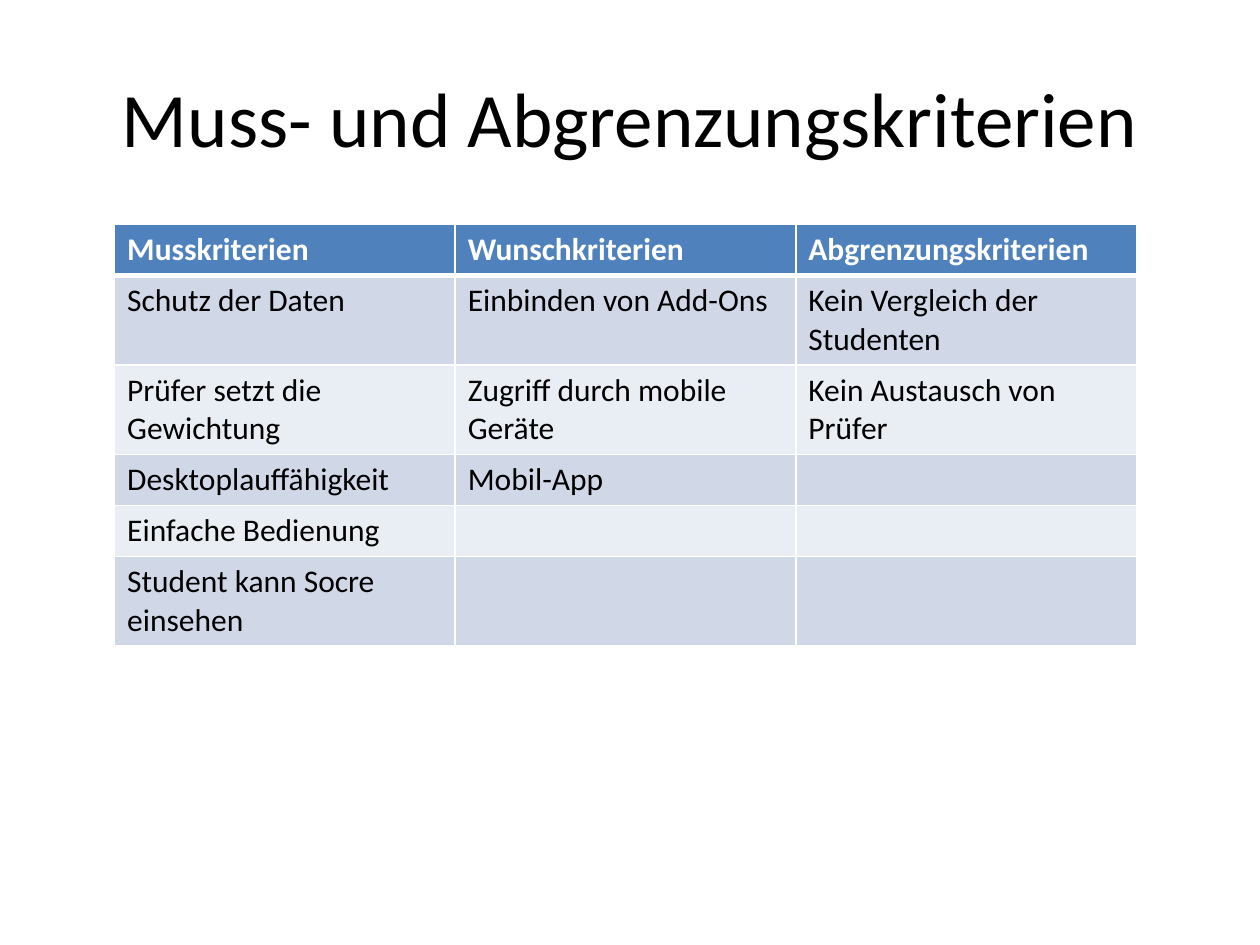
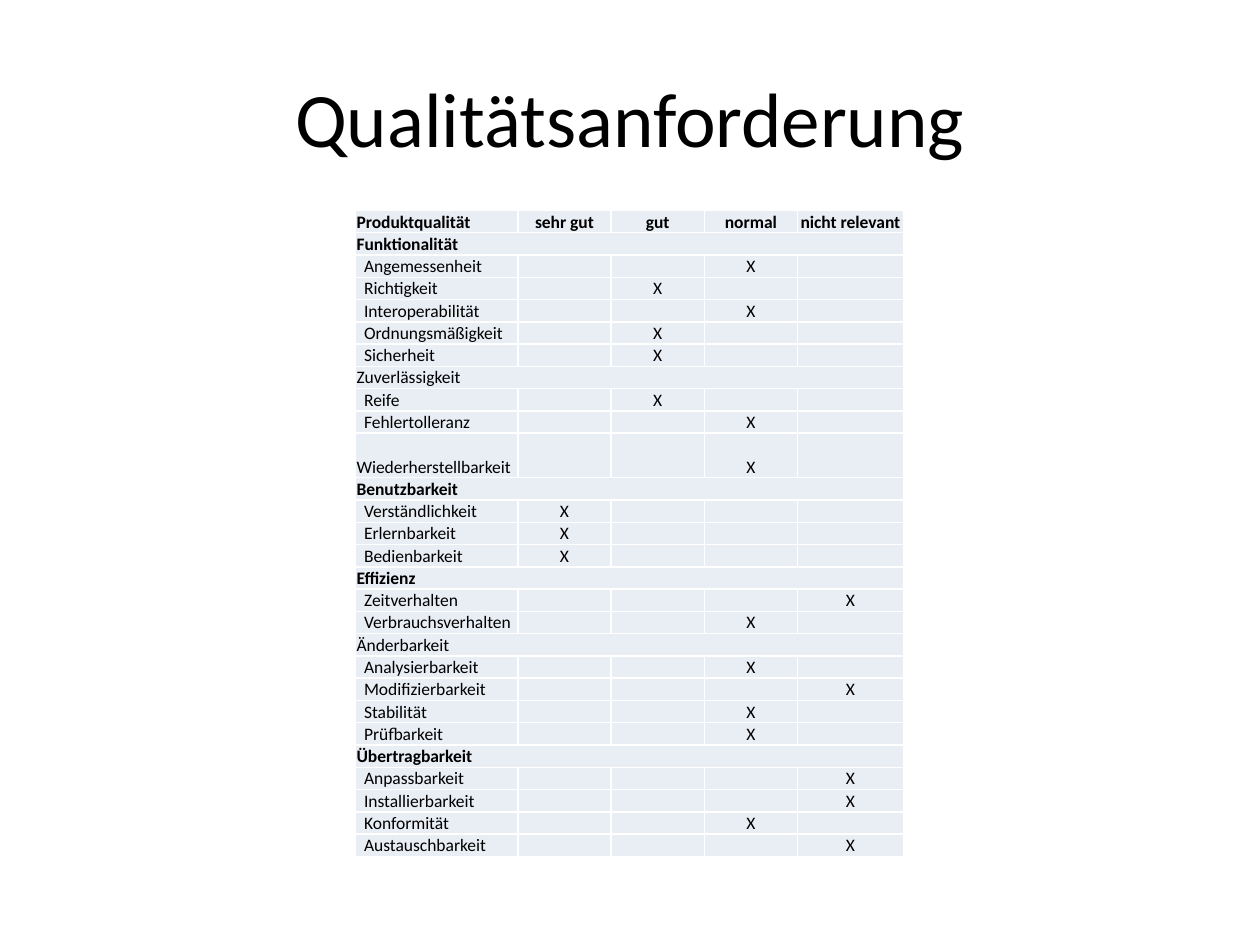
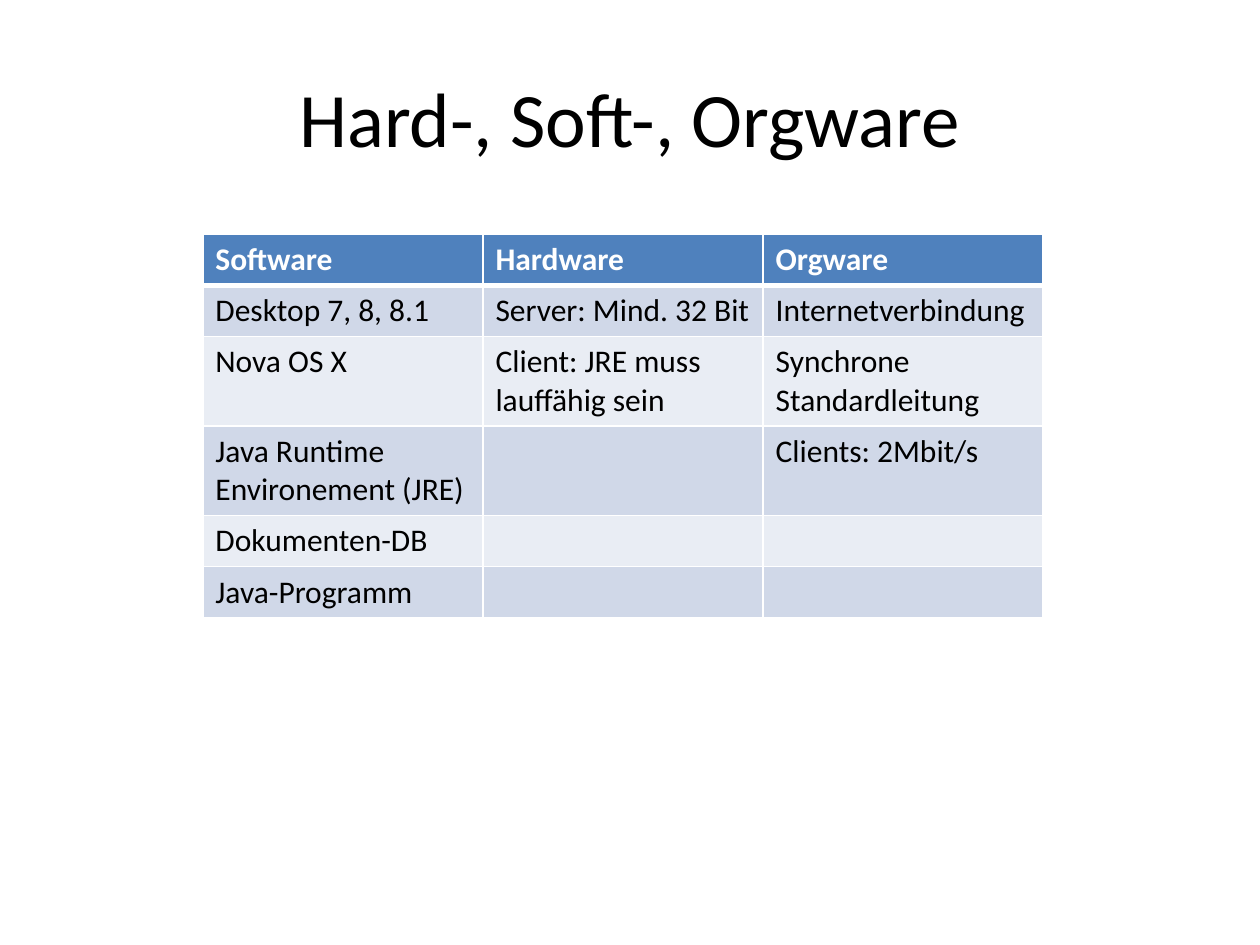
from dataclasses import dataclass

from lxml.etree import SubElement
from pptx import Presentation
from pptx.dml.color import RGBColor
from pptx.enum.text import MSO_ANCHOR, PP_ALIGN
from pptx.oxml.ns import qn
from pptx.util import Inches, Pt


@dataclass(frozen=True)
class Theme:
    """Colours and type sizes shared by all slides."""
    font: str = "Calibri"
    text: str = "000000"
    white: str = "FFFFFF"
    header: str = "4F81BD"
    dark_band: str = "D0D8E8"
    light_band: str = "E9EDF4"
    title_size: int = 44
    table_size: int = 18
    small_size: int = 10
    line: int = 1
    header_line: int = 3


class Deck:
    """Holds the theme, the presentation and the current slide."""

    def __init__(self, theme):
        """Start an empty 4:3 presentation."""
        self.theme = theme
        self.presentation = Presentation()
        self.presentation.slide_width = Inches(10)
        self.presentation.slide_height = Inches(7.5)
        self.slide = None

    def add_slide(self, title):
        """Add a title-only slide and make it current."""
        layout = self.presentation.slide_layouts[5]
        self.slide = self.presentation.slides.add_slide(layout)
        shape = self.slide.shapes.title
        shape.left, shape.top = Inches(0.5), Inches(0.3)
        shape.width, shape.height = Inches(9), Inches(1.25)
        frame = shape.text_frame
        frame.vertical_anchor = MSO_ANCHOR.MIDDLE
        frame.text = title
        frame.paragraphs[0].alignment = PP_ALIGN.CENTER
        self.style_font(frame.paragraphs[0].font, self.theme.title_size)

    def style_font(self, font, size, color=None, bold=False):
        """Set typeface, size, weight and colour of a font."""
        font.name, font.size, font.bold = self.theme.font, Pt(size), bold
        font.color.rgb = RGBColor.from_string(color or self.theme.text)

    def add_grid(self, left, top, widths, heights):
        """Add an unbanded table with the given column widths and row heights."""
        frame = self.slide.shapes.add_table(
            len(heights), len(widths), Inches(left), Inches(top),
            Inches(sum(widths)), Inches(sum(heights)))
        table = frame.table
        table.first_row = table.horz_banding = False
        for column, width in zip(table.columns, widths):
            column.width = Inches(width)
        for row, height in zip(table.rows, heights):
            row.height = Inches(height)
        return table

    def fill_cell(self, cell, text, size, fill, color=None, bold=False,
                  bottom_line=None):
        """Give a cell its borders, fill and text."""
        properties = cell._tc.get_or_add_tcPr()
        for side in ("lnL", "lnR", "lnT", "lnB"):
            points = self.theme.line
            if side == "lnB" and bottom_line:
                points = bottom_line
            line = SubElement(properties, qn("a:" + side), w=str(Pt(points)))
            solid = SubElement(line, qn("a:solidFill"))
            SubElement(solid, qn("a:srgbClr"), val=self.theme.white)
        cell.fill.solid()
        cell.fill.fore_color.rgb = RGBColor.from_string(fill)
        paragraph = cell.text_frame.paragraphs[0]
        if text:
            # Table cells take their font from the run, not the paragraph
            run = paragraph.add_run()
            run.text = text
            self.style_font(run.font, size, color, bold)
        else:
            SubElement(paragraph._p, qn("a:endParaRPr"), sz=str(size * 100))

    def add_banded_table(self, left, top, width, rows):
        """Add a table with a blue header row and alternating bands."""
        theme = self.theme
        columns = len(rows[0])
        table = self.add_grid(left, top, [width / columns] * columns,
                              [0.4] * len(rows))
        for row_index, row in enumerate(rows):
            band = theme.dark_band if row_index % 2 else theme.light_band
            for column_index, text in enumerate(row):
                cell = table.cell(row_index, column_index)
                if row_index == 0:
                    self.fill_cell(cell, text, theme.table_size, theme.header,
                                   theme.white, True, theme.header_line)
                else:
                    self.fill_cell(cell, text, theme.table_size, band)

    def add_rating_table(self, left, top, widths, height, header, sections):
        """Add a compact table with one X per criterion, grouped by section."""
        rows = [(header, True, False)]
        for name, bold, criteria in sections:
            rows.append(([name] + [""] * len(RATINGS), bold, True))
            for criterion, rating in criteria:
                marks = ["X" if rating == item else "" for item in RATINGS]
                rows.append(([criterion] + marks, False, False))
        units = [2 if row[0] == TALL_CRITERION else 1 for row, _, _ in rows]
        unit_height = height / sum(units)
        table = self.add_grid(left, top, widths,
                              [unit_height * unit for unit in units])
        for row_index, (row, bold, is_section) in enumerate(rows):
            for column_index, text in enumerate(row):
                cell = table.cell(row_index, column_index)
                self.fill_cell(cell, text, self.theme.small_size,
                               self.theme.light_band, bold=bold)
                cell.vertical_anchor = MSO_ANCHOR.BOTTOM
                cell.margin_left = cell.margin_right = Inches(0.01)
                cell.margin_top = cell.margin_bottom = 0
                if column_index:
                    cell.text_frame.paragraphs[0].alignment = PP_ALIGN.CENTER
                elif not bold and not is_section and text != TALL_CRITERION:
                    cell.margin_left = Inches(0.07)
            if is_section:
                table.cell(row_index, 0).merge(
                    table.cell(row_index, len(widths) - 1))


RATINGS = ["sehr gut", "gut", "normal", "nicht relevant"]
VERY_GOOD, GOOD, NORMAL, IRRELEVANT = RATINGS
TALL_CRITERION = "Wiederherstellbarkeit"

CRITERIA = [
    ["Musskriterien", "Wunschkriterien", "Abgrenzungskriterien"],
    ["Schutz der Daten", "Einbinden von Add-Ons", "Kein Vergleich der Studenten"],
    ["Prüfer setzt die Gewichtung", "Zugriff durch mobile Geräte",
     "Kein Austausch von Prüfer"],
    ["Desktoplauffähigkeit", "Mobil-App", ""],
    ["Einfache Bedienung", "", ""],
    ["Student kann Socre einsehen", "", ""],
]

# Section name, bold or not, and its criteria with their ratings
QUALITY = [
    ("Funktionalität", True, [
        ("Angemessenheit", NORMAL), ("Richtigkeit", GOOD),
        ("Interoperabilität", NORMAL), ("Ordnungsmäßigkeit", GOOD),
        ("Sicherheit", GOOD)]),
    ("Zuverlässigkeit", False, [
        ("Reife", GOOD), ("Fehlertolleranz", NORMAL),
        (TALL_CRITERION, NORMAL)]),
    ("Benutzbarkeit", True, [
        ("Verständlichkeit", VERY_GOOD), ("Erlernbarkeit", VERY_GOOD),
        ("Bedienbarkeit", VERY_GOOD)]),
    ("Effizienz", True, [
        ("Zeitverhalten", IRRELEVANT), ("Verbrauchsverhalten", NORMAL)]),
    ("Änderbarkeit", False, [
        ("Analysierbarkeit", NORMAL), ("Modifizierbarkeit", IRRELEVANT),
        ("Stabilität", NORMAL), ("Prüfbarkeit", NORMAL)]),
    ("Übertragbarkeit", True, [
        ("Anpassbarkeit", IRRELEVANT), ("Installierbarkeit", IRRELEVANT),
        ("Konformität", NORMAL), ("Austauschbarkeit", IRRELEVANT)]),
]

ENVIRONMENT = [
    ["Software", "Hardware", "Orgware"],
    ["Desktop 7, 8, 8.1", "Server: Mind. 32 Bit", "Internetverbindung"],
    ["Nova OS X", "Client: JRE muss lauffähig sein",
     "Synchrone Standardleitung"],
    ["Java Runtime Environement (JRE)", "", "Clients: 2Mbit/s"],
    ["Dokumenten-DB", "", ""],
    ["Java-Programm", "", ""],
]


def main():
    """Build the three slides and save them."""
    deck = Deck(Theme())
    deck.add_slide("Muss- und Abgrenzungskriterien")
    deck.add_banded_table(0.91, 1.78, 8.11, CRITERIA)

    deck.add_slide("Qualitätsanforderung")
    deck.add_rating_table(2.82, 1.67, [1.29, 0.74, 0.74, 0.74, 0.84], 5.13,
                          ["Produktqualität"] + RATINGS, QUALITY)

    deck.add_slide("Hard-, Soft-, Orgware")
    deck.add_banded_table(1.61, 1.86, 6.67, ENVIRONMENT)
    deck.presentation.save("out.pptx")


main()
